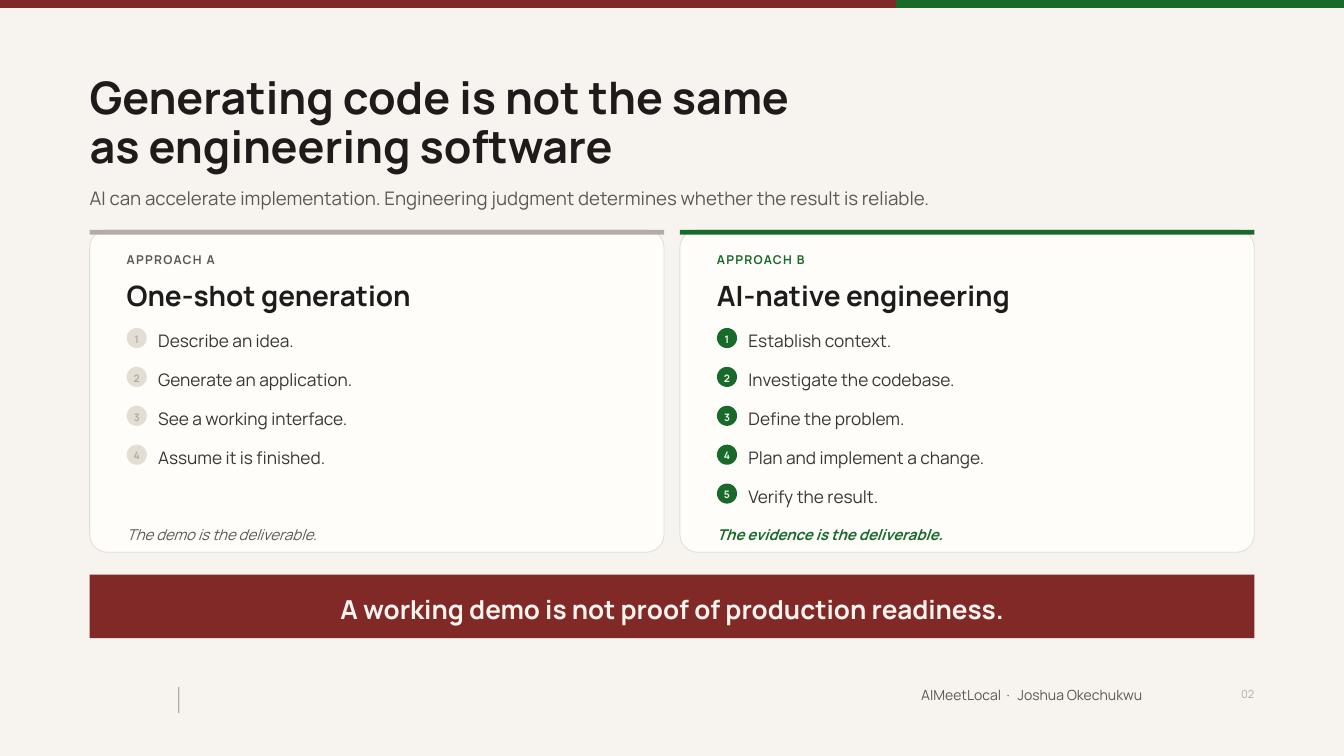
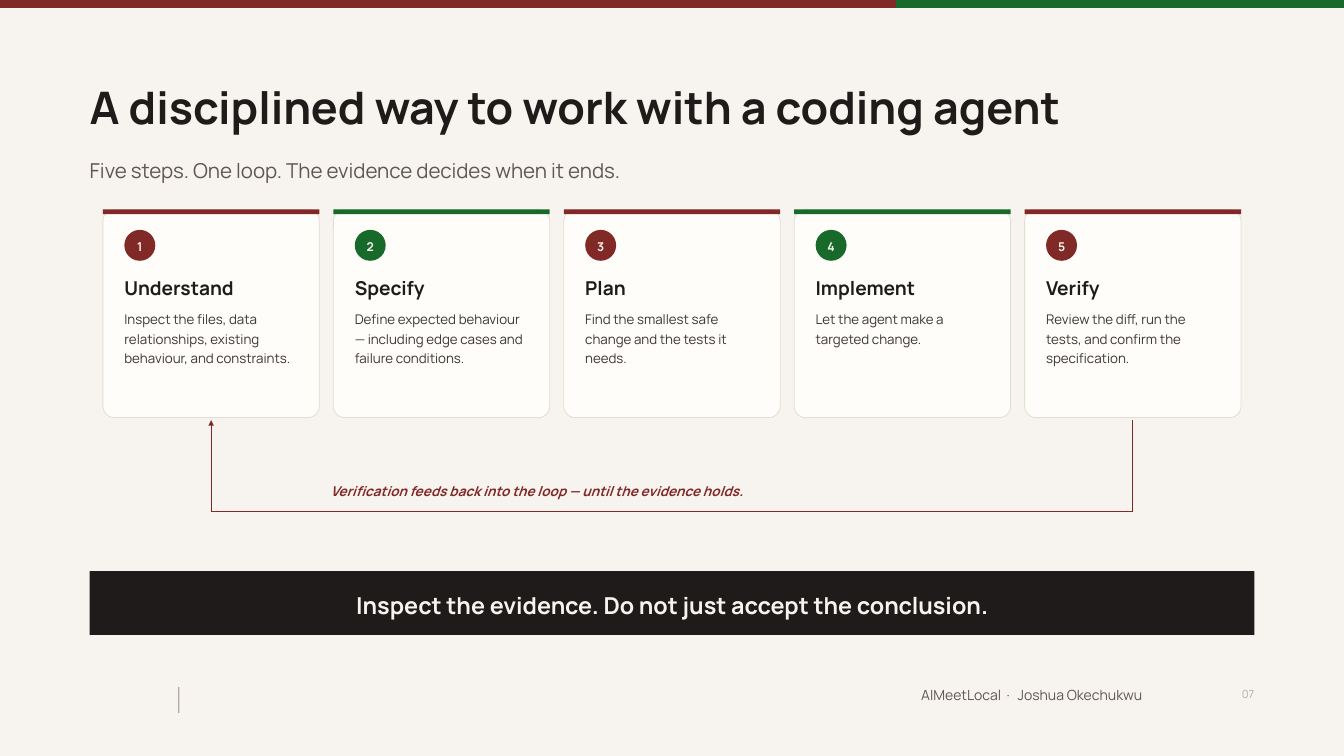
from itertools import cycle, pairwise

from lxml import etree
from pptx import Presentation
from pptx.dml.color import RGBColor
from pptx.enum import shapes, text
from pptx.oxml import ns
from pptx.util import Cm, Pt

FONT = "Manrope"
LEADING = 1.42  # line spacing as a multiple of the text size
COLORS = {
    "paper": "F7F4EF", "card": "FFFDF9", "border": "E3DDD3", "muted": "B3ACA6",
    "grey": "5E5753", "body": "3B3532", "ink": "1E1B1A",
    "red": "812927", "green": "186A2A",
}

COMPARISON = {
    "page": "02",
    "title": ["Generating code is not the same", "as engineering software"],
    "title_top": 2.79,
    "subtitle": "AI can accelerate implementation. Engineering judgment determines "
                "whether the result is reliable.",
    "subtitle_top": 6.91, "subtitle_size": 20,
    "band": "A working demo is not proof of production readiness.",
    "band_top": 21.72, "band_size": 28, "band_color": "red",
}
APPROACHES = [
    {
        "label": "APPROACH A", "name": "One-shot generation",
        "steps": ["Describe an idea.", "Generate an application.",
                  "See a working interface.", "Assume it is finished."],
        "closing": "The demo is the deliverable.",
        "strip": "muted", "accent": "grey", "badge": "border", "number": "muted",
        "closing_bold": False,
    },
    {
        "label": "APPROACH B", "name": "AI-native engineering",
        "steps": ["Establish context.", "Investigate the codebase.", "Define the problem.",
                  "Plan and implement a change.", "Verify the result."],
        "closing": "The evidence is the deliverable.",
        "strip": "green", "accent": "green", "badge": "green", "number": "paper",
        "closing_bold": True,
    },
]

WORKFLOW = {
    "page": "07",
    "title": ["A disciplined way to work with a coding agent"],
    "title_top": 3.18,
    "subtitle": "Five steps. One loop. The evidence decides when it ends.",
    "subtitle_top": 5.79, "subtitle_size": 22,
    "band": "Inspect the evidence. Do not just accept the conclusion.",
    "band_top": 21.59, "band_size": 25, "band_color": "ink",
}
WORKFLOW_STEPS = [
    ("Understand", "Inspect the files, data relationships, existing behaviour, and constraints."),
    ("Specify", "Define expected behaviour — including edge cases and failure conditions."),
    ("Plan", "Find the smallest safe change and the tests it needs."),
    ("Implement", "Let the agent make a targeted change."),
    ("Verify", "Review the diff, run the tests, and confirm the specification."),
]
FEEDBACK = "Verification feeds back into the loop — until the evidence holds."
FOOTER = [("AIMeetLocal", 0), (" · ", 2.7), ("Joshua Okechukwu", 0)]  # text, letter spacing

SLIDE_WIDTH, SLIDE_HEIGHT = 50.8, 28.58
MARGIN = 3.39
CONTENT_WIDTH = SLIDE_WIDTH - 2 * MARGIN
STRIP_HEIGHT = 0.18


def rgb(name):
    return RGBColor.from_string(COLORS[name])


def write(shape, lines, size, color, bold=False, italic=False, align="LEFT",
          middle=False, leading=LEADING, wrap=True):
    """Fill a shape with lines; a line is a string or a list of (text, letter spacing)."""
    frame = shape.text_frame
    frame.word_wrap = wrap
    frame.margin_left = frame.margin_right = frame.margin_top = frame.margin_bottom = 0
    frame.vertical_anchor = text.MSO_ANCHOR.MIDDLE if middle else text.MSO_ANCHOR.TOP
    for index, line in enumerate(lines):
        paragraph = frame.add_paragraph() if index else frame.paragraphs[0]
        paragraph.alignment = text.PP_ALIGN[align]
        paragraph.line_spacing = Pt(round(size * leading, 1))
        for words, spacing in [(line, 0)] if isinstance(line, str) else line:
            run = paragraph.add_run()
            run.text = words
            run.font.name = FONT
            run.font.size = Pt(size)
            run.font.bold = bold
            run.font.italic = italic
            run.font.color.rgb = rgb(color)
            if spacing:
                run._r.get_or_add_rPr().set("spc", str(round(spacing * 100)))


def add_text(slide, left, top, width, height, lines, size, color, **style):
    box = slide.shapes.add_textbox(Cm(left), Cm(top), Cm(width), Cm(height))
    write(box, lines, size, color, **style)


def add_block(slide, left, top, width, height, fill, kind="RECTANGLE"):
    block = slide.shapes.add_shape(shapes.MSO_SHAPE[kind], Cm(left), Cm(top),
                                   Cm(width), Cm(height))
    block.shadow.inherit = False
    block.fill.solid()
    block.fill.fore_color.rgb = rgb(fill)
    block.line.fill.background()
    return block


def add_card(slide, left, top, width, height, strip):
    card = add_block(slide, left, top, width, height, "card", "ROUNDED_RECTANGLE")
    card.adjustments[0] = 0.055
    card.line.color.rgb = rgb("border")
    card.line.width = Pt(0.9)
    add_block(slide, left, top, width, STRIP_HEIGHT, strip)


def add_badge(slide, left, top, diameter, number, fill, size, color):
    badge = add_block(slide, left, top, diameter, diameter, fill, "OVAL")
    write(badge, [str(number)], size, color, bold=True, align="CENTER", middle=True, wrap=False)


def add_line(slide, start, end, color, arrow=False):
    line = slide.shapes.add_connector(shapes.MSO_CONNECTOR.STRAIGHT,
                                      *(Cm(value) for value in (*start, *end)))
    line.line.color.rgb = rgb(color)
    line.line.width = Pt(1.2)
    properties = line._element.spPr
    if arrow:
        outline = properties.find(ns.qn("a:ln"))
        etree.SubElement(outline, ns.qn("a:tailEnd"), type="triangle")
    etree.SubElement(properties, ns.qn("a:effectLst"))


def add_base_slide(presentation, content):
    """Add a slide with the top bar, title, subtitle, closing band and footer."""
    slide = presentation.slides.add_slide(presentation.slide_layouts[6])
    slide.background.fill.solid()
    slide.background.fill.fore_color.rgb = rgb("paper")

    red_width = SLIDE_WIDTH * 2 / 3
    add_block(slide, 0, 0, red_width, 0.3, "red")
    add_block(slide, red_width, 0, SLIDE_WIDTH - red_width, 0.3, "green")

    add_text(slide, MARGIN, content["title_top"], CONTENT_WIDTH, 2.16 * len(content["title"]),
             content["title"], 48, "ink", bold=True, leading=1.1)
    add_text(slide, MARGIN, content["subtitle_top"], CONTENT_WIDTH, 1.52,
             [content["subtitle"]], content["subtitle_size"], "grey")

    band = add_block(slide, MARGIN, content["band_top"], CONTENT_WIDTH, 2.41,
                     content["band_color"])
    write(band, [content["band"]], content["band_size"], "paper", bold=True,
          align="CENTER", middle=True)

    add_block(slide, 6.73, 25.98, 0.05, 0.97, "muted")
    add_text(slide, 28.96, 25.83, 14.22, 0.97, [FOOTER], 15, "grey", align="RIGHT")
    add_text(slide, 45.84, 25.88, 1.57, 0.86, [content["page"]], 12, "muted", align="RIGHT")
    return slide


def build_comparison(presentation):
    slide = add_base_slide(presentation, COMPARISON)
    gap, inset, step_pitch = 0.6, 1.4, 1.47
    card_width = (CONTENT_WIDTH - gap) / 2
    text_width = card_width - 2 * inset
    for column, approach in enumerate(APPROACHES):
        card_left = MARGIN + column * (card_width + gap)
        left = card_left + inset
        add_card(slide, card_left, 8.69, card_width, 12.19, approach["strip"])
        add_text(slide, left, 9.45, text_width, 0.76, [[(approach["label"], 1.4)]], 13,
                 approach["accent"], bold=True)
        add_text(slide, left, 10.29, text_width, 1.52, [approach["name"]], 30, "ink", bold=True)
        for row, step in enumerate(approach["steps"]):
            top = 12.4 + row * step_pitch
            add_badge(slide, left, top, 0.76, row + 1, approach["badge"], 11, approach["number"])
            add_text(slide, left + 1.19, top - 0.05, 17.78, 1.07, [step], 18.5, "body")
        add_text(slide, left, 19.76, text_width, 0.89, [approach["closing"]], 16,
                 approach["accent"], bold=approach["closing_bold"], italic=True)


def build_workflow(presentation):
    slide = add_base_slide(presentation, WORKFLOW)
    card_width, gap, inset = 8.18, 0.53, 0.81
    pitch = card_width + gap
    row_width = len(WORKFLOW_STEPS) * pitch - gap
    row_left = (SLIDE_WIDTH - row_width) / 2
    text_width = card_width - 2 * inset
    for index, ((name, detail), accent) in enumerate(zip(WORKFLOW_STEPS, cycle(["red", "green"]))):
        card_left = row_left + index * pitch
        left = card_left + inset
        add_card(slide, card_left, 7.92, card_width, 7.87, accent)
        add_badge(slide, left, 8.69, 1.17, index + 1, accent, 13, "paper")
        add_text(slide, left, 10.29, text_width, 1.14, [name], 20.5, "ink", bold=True)
        add_text(slide, left, 11.63, text_width, 3.68, [detail], 14.3, "body", leading=1.47)

    first_center = row_left + card_width / 2
    last_center = SLIDE_WIDTH - first_center
    loop_top, loop_bottom = 15.88, 19.35
    corners = [(last_center, loop_top), (last_center, loop_bottom),
               (first_center, loop_bottom), (first_center, loop_top)]
    for start, end in pairwise(corners):
        add_line(slide, start, end, "red", arrow=end == corners[-1])
    add_text(slide, 10.26, 18.08, 20.07, 0.89, [FEEDBACK], 14.5, "red", bold=True, italic=True,
             align="CENTER", middle=True)


def main():
    presentation = Presentation()
    presentation.slide_width = Cm(SLIDE_WIDTH)
    presentation.slide_height = Cm(SLIDE_HEIGHT)
    build_comparison(presentation)
    build_workflow(presentation)
    presentation.save("out.pptx")


if __name__ == "__main__":
    main()
